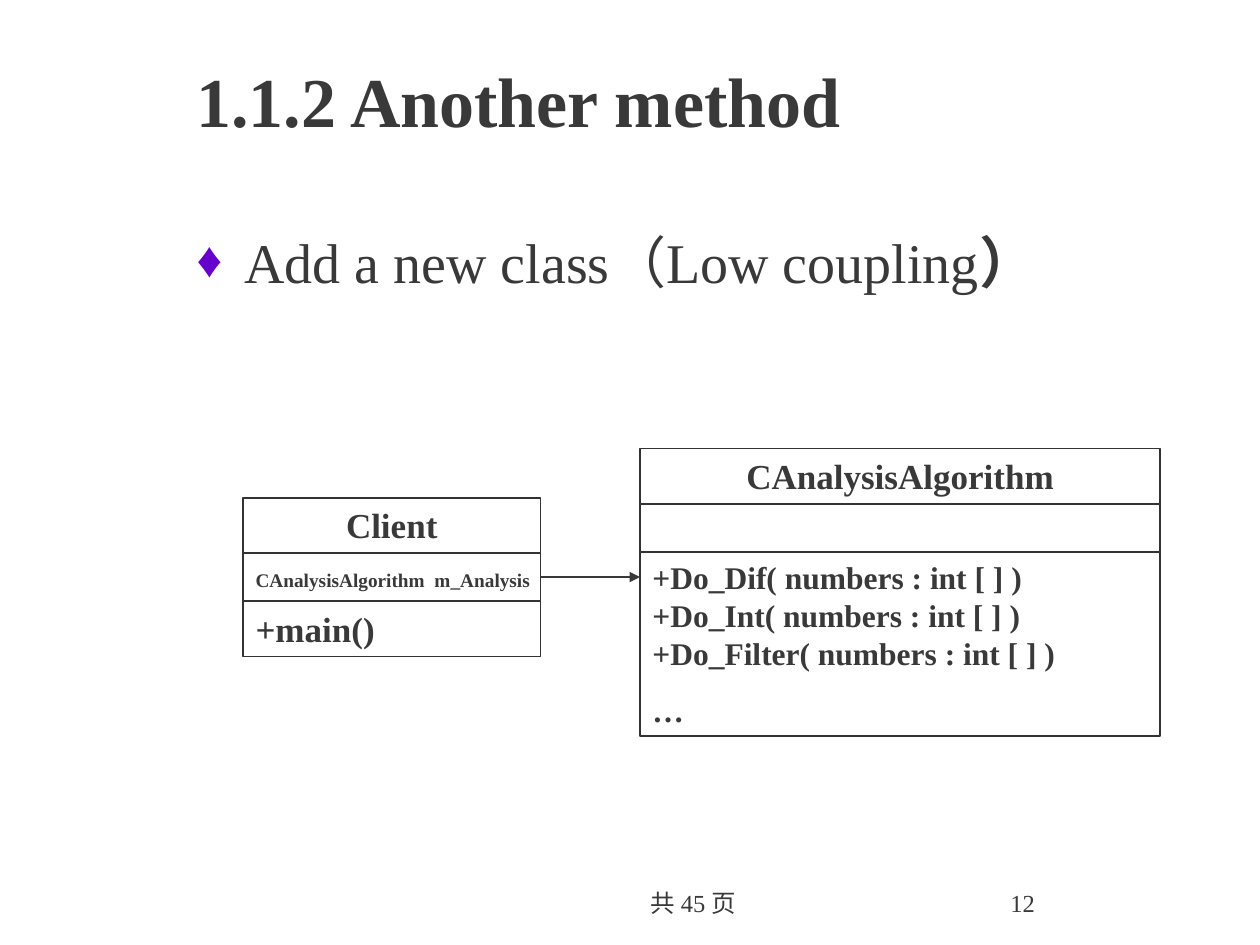
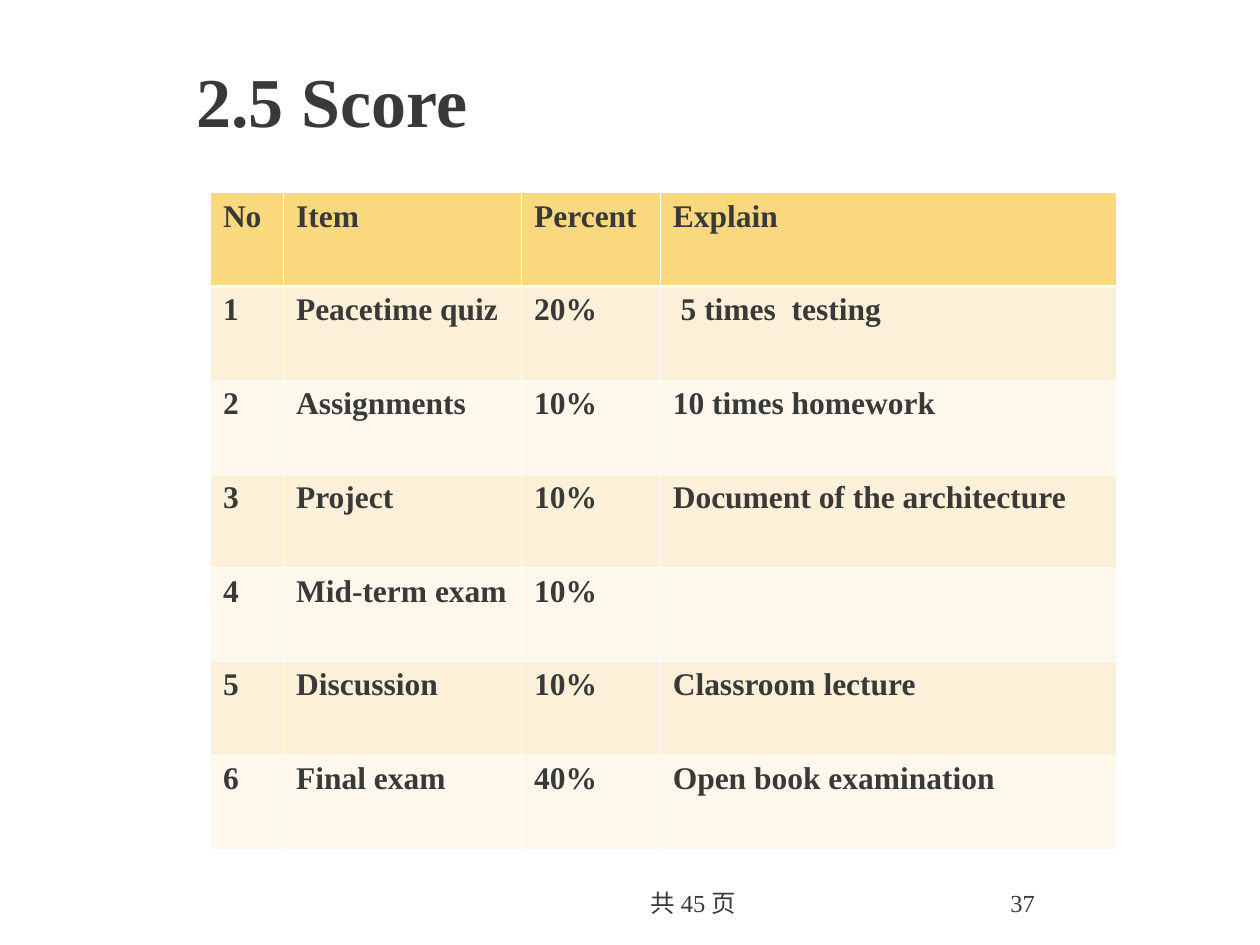
from dataclasses import dataclass

from lxml import etree
from pptx import Presentation
from pptx.dml.color import RGBColor
from pptx.enum.shapes import MSO_CONNECTOR, MSO_SHAPE
from pptx.enum.text import MSO_ANCHOR, MSO_AUTO_SIZE, PP_ALIGN
from pptx.oxml.ns import qn
from pptx.util import Inches, Pt

LEFT, CENTER = PP_ALIGN.LEFT, PP_ALIGN.CENTER
TOP, MIDDLE = MSO_ANCHOR.TOP, MSO_ANCHOR.MIDDLE
NO_AUTOFIT = MSO_AUTO_SIZE.NONE
RECTANGLE = MSO_SHAPE.RECTANGLE
STRAIGHT = MSO_CONNECTOR.STRAIGHT


@dataclass(frozen=True)
class Theme:
    font: str = "Times New Roman"
    text: str = "393939"
    outline: str = "333333"
    bullet: str = "6600CC"
    header: str = "F9D87E"
    odd_row: str = "FDF0D8"
    even_row: str = "FEF8EC"
    border: str = "FFFFFF"
    title_size: float = 40
    body_size: float = 32
    class_size: float = 20
    method_size: float = 18
    table_size: float = 18
    footer_size: float = 14
    attribute_size: float = 11
    line_width: float = 1
    border_width: float = 0.45
    header_border_width: float = 1.47


THEME = Theme()


@dataclass(frozen=True)
class Area:
    left: float
    top: float
    width: float
    height: float

    def lengths(self) -> tuple:
        return tuple(Inches(value) for value in
                     (self.left, self.top, self.width, self.height))


@dataclass(frozen=True)
class Compartment:
    height: float
    paragraphs: tuple = ()
    size: float = THEME.class_size
    align: PP_ALIGN = LEFT


@dataclass(frozen=True)
class ClassBox:
    left: float
    top: float
    width: float
    compartments: tuple


PAGE_TOTAL_AREA = Area(3.92, 7, 3.17, 0.5)
PAGE_NUMBER_AREA = Area(7.92, 7, 2.08, 0.5)
BODY_AREA = Area(1.46, 1.86, 8.5, 0.87)
ATTRIBUTE_AREA = Area(1.93, 4.46, 2.44, 0.29)
SCORE_AREA = Area(1.67, 1.53, 7.19, 5.21)
SCORE_WIDTHS = (0.58, 1.89, 1.1, 3.62)
METHOD_GAP = 11.2

CLIENT = ClassBox(1.93, 3.95, 2.36, (
    Compartment(0.44, (("Client",),), align=CENTER),
    Compartment(0.38),
    Compartment(0.44, (("+main()",),)),
))
ALGORITHM = ClassBox(5.08, 3.56, 4.13, (
    Compartment(0.44, (("CAnalysisAlgorithm",),), align=CENTER),
    Compartment(0.38),
    Compartment(1.46, (
        ("+Do_Dif( numbers : int [ ] )",
         "+Do_Int( numbers : int [ ] )",
         "+Do_Filter( numbers : int [ ] )"),
        ("…",),
    ), THEME.method_size),
))

SCORES = (
    ("No", "Item", "Percent", "Explain"),
    ("1", "Peacetime quiz", "20%", " 5 times  testing"),
    ("2", "Assignments", "10%", "10 times homework"),
    ("3", "Project", "10%", "Document of the architecture"),
    ("4", "Mid-term exam", "10%", ""),
    ("5", "Discussion", "10%", "Classroom lecture"),
    ("6", "Final exam", "40%", "Open book examination"),
)


def rgb(color: str) -> RGBColor:
    return RGBColor.from_string(color)


def add_span(para, text: str, size: float, bold: bool = False) -> None:
    span = para.add_run()
    span.text = text
    span.font.name = THEME.font
    span.font.size = Pt(size)
    span.font.bold = bold
    span.font.color.rgb = rgb(THEME.text)


def prepare_frame(frame, anchor: MSO_ANCHOR = TOP) -> None:
    frame.word_wrap = True
    frame.auto_size = NO_AUTOFIT
    frame.vertical_anchor = anchor
    frame.margin_left = frame.margin_right = Inches(0.1)
    frame.margin_top = frame.margin_bottom = Inches(0.05)


def place(shape, area: Area) -> None:
    shape.left, shape.top, shape.width, shape.height = area.lengths()


def add_label(page, area: Area, text: str, size: float,
              align: PP_ALIGN = LEFT, bold: bool = False) -> None:
    frame = page.shapes.add_textbox(*area.lengths()).text_frame
    prepare_frame(frame)
    para = frame.paragraphs[0]
    para.alignment = align
    add_span(para, text, size, bold)


def add_page(deck, layout: int, title: str, title_width: float, number: int):
    page = deck.slides.add_slide(deck.slide_layouts[layout])
    heading = page.shapes.title
    place(heading, Area(1.46, 0.13, title_width, 1.32))
    prepare_frame(heading.text_frame, MIDDLE)
    para = heading.text_frame.paragraphs[0]
    para.alignment = LEFT
    add_span(para, title, THEME.title_size, bold=True)
    add_label(page, PAGE_TOTAL_AREA, "共 45 页", THEME.footer_size, CENTER)
    add_label(page, PAGE_NUMBER_AREA, str(number), THEME.footer_size)
    return page


def set_bullet(para) -> None:
    props = para._p.get_or_add_pPr()
    props.set("marL", str(Inches(0.38)))
    props.set("indent", str(-Inches(0.38)))
    color = etree.SubElement(props, qn("a:buClr"))
    etree.SubElement(color, qn("a:srgbClr"), val=THEME.bullet)
    etree.SubElement(props, qn("a:buSzPct"), val="90000")
    etree.SubElement(props, qn("a:buFont"), typeface=THEME.font)
    etree.SubElement(props, qn("a:buChar"), char="♦")


def add_body(page) -> None:
    body = page.placeholders[1]
    place(body, BODY_AREA)
    prepare_frame(body.text_frame)
    para = body.text_frame.paragraphs[0]
    set_bullet(para)
    para.line_spacing = 0.8
    para.space_before = Pt(0)
    add_span(para, "Add a new class（Low coupling", THEME.body_size)
    add_span(para, "）", THEME.body_size, bold=True)


def fill_compartment(frame, part: Compartment) -> None:
    prepare_frame(frame)
    for index, lines in enumerate(part.paragraphs):
        para = frame.add_paragraph() if index else frame.paragraphs[0]
        para.alignment = part.align
        if index:
            para.space_before = Pt(METHOD_GAP)
        for row, line in enumerate(lines):
            if row:
                para.add_line_break()
            add_span(para, line, part.size, bold=True)


def add_class(page, diagram: ClassBox) -> list:
    boxes, top = [], diagram.top
    for part in diagram.compartments:
        area = Area(diagram.left, top, diagram.width, part.height)
        box = page.shapes.add_shape(RECTANGLE, *area.lengths())
        box.shadow.inherit = False
        box.fill.background()
        box.line.color.rgb = rgb(THEME.outline)
        box.line.width = Pt(THEME.line_width)
        fill_compartment(box.text_frame, part)
        boxes.append(box)
        top += part.height
    return boxes


def add_arrow(page, source, target_x: int) -> None:
    start = source.left + source.width
    height = source.top + source.height // 2
    arrow = page.shapes.add_connector(STRAIGHT, start, height, target_x, height)
    arrow.line.color.rgb = rgb(THEME.text)
    arrow.line.width = Pt(THEME.line_width)
    etree.SubElement(arrow.line._get_or_add_ln(), qn("a:tailEnd"), type="triangle")
    etree.SubElement(arrow._element.spPr, qn("a:effectLst"))


def set_borders(cell, row: int) -> None:
    props = cell._tc.get_or_add_tcPr()
    heavy = {(0, "B"), (1, "T")}
    for index, side in enumerate("LRTB"):
        width = (THEME.header_border_width if (row, side) in heavy
                 else THEME.border_width)
        line = etree.Element(qn(f"a:ln{side}"), w=str(Pt(width)))
        fill = etree.SubElement(line, qn("a:solidFill"))
        etree.SubElement(fill, qn("a:srgbClr"), val=THEME.border)
        props.insert(index, line)


def add_scores(page) -> None:
    table = page.shapes.add_table(
        len(SCORES), len(SCORE_WIDTHS), *SCORE_AREA.lengths()).table
    for column, width in zip(table.columns, SCORE_WIDTHS):
        column.width = Inches(width)
    for row, values in enumerate(SCORES):
        table.rows[row].height = Inches(SCORE_AREA.height / len(SCORES))
        shade = THEME.odd_row if row % 2 else THEME.even_row
        for column, value in enumerate(values):
            cell = table.cell(row, column)
            cell.fill.solid()
            cell.fill.fore_color.rgb = rgb(shade if row else THEME.header)
            set_borders(cell, row)
            if value:
                add_span(cell.text_frame.paragraphs[0], value,
                         THEME.table_size, bold=True)


def build_method_page(deck) -> None:
    page = add_page(deck, 1, "1.1.2 Another method", 8.3, 12)
    add_body(page)
    algorithm = add_class(page, ALGORITHM)
    client = add_class(page, CLIENT)
    add_arrow(page, client[1], algorithm[0].left)
    add_label(page, ATTRIBUTE_AREA, "CAnalysisAlgorithm  m_Analysis",
              THEME.attribute_size, bold=True)


def build_score_page(deck) -> None:
    page = add_page(deck, 5, "2.5 Score", 8.5, 37)
    add_scores(page)


def main() -> None:
    deck = Presentation()
    deck.slide_width, deck.slide_height = Inches(10), Inches(7.5)
    build_method_page(deck)
    build_score_page(deck)
    deck.save("out.pptx")


if __name__ == "__main__":
    main()
